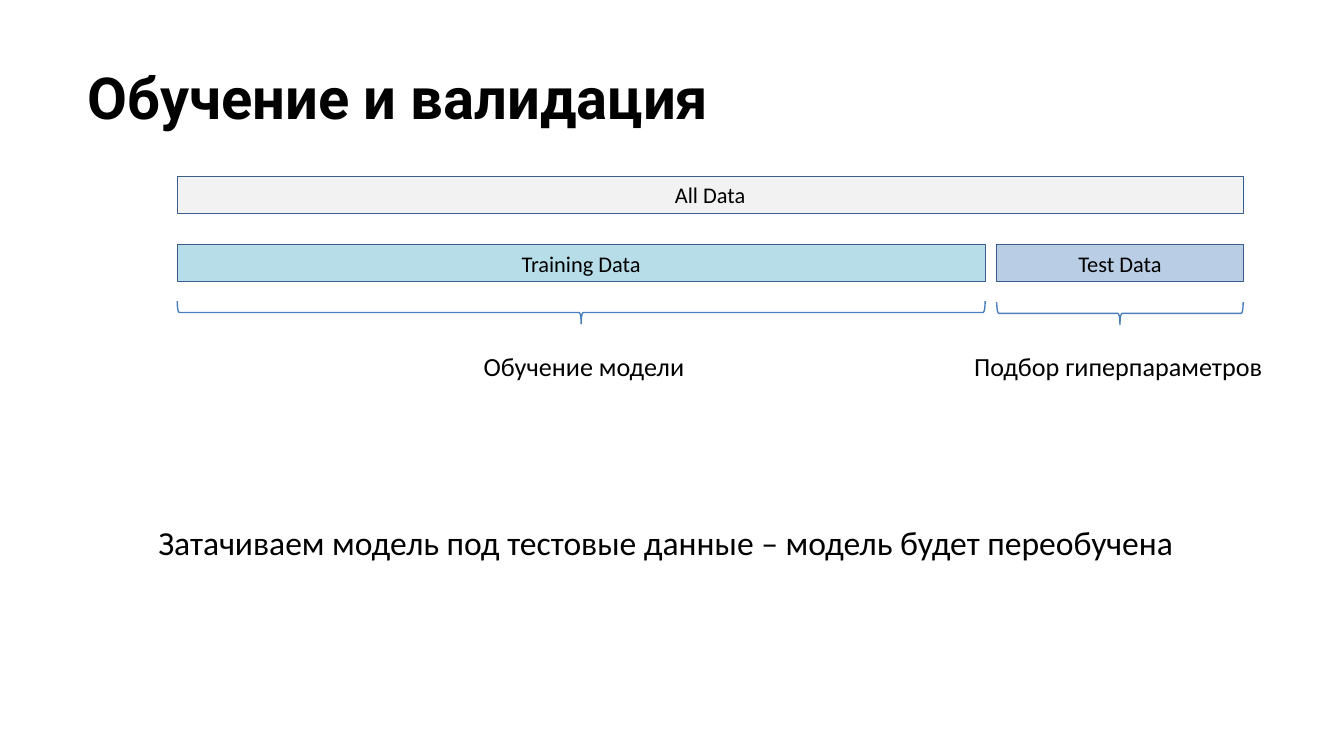
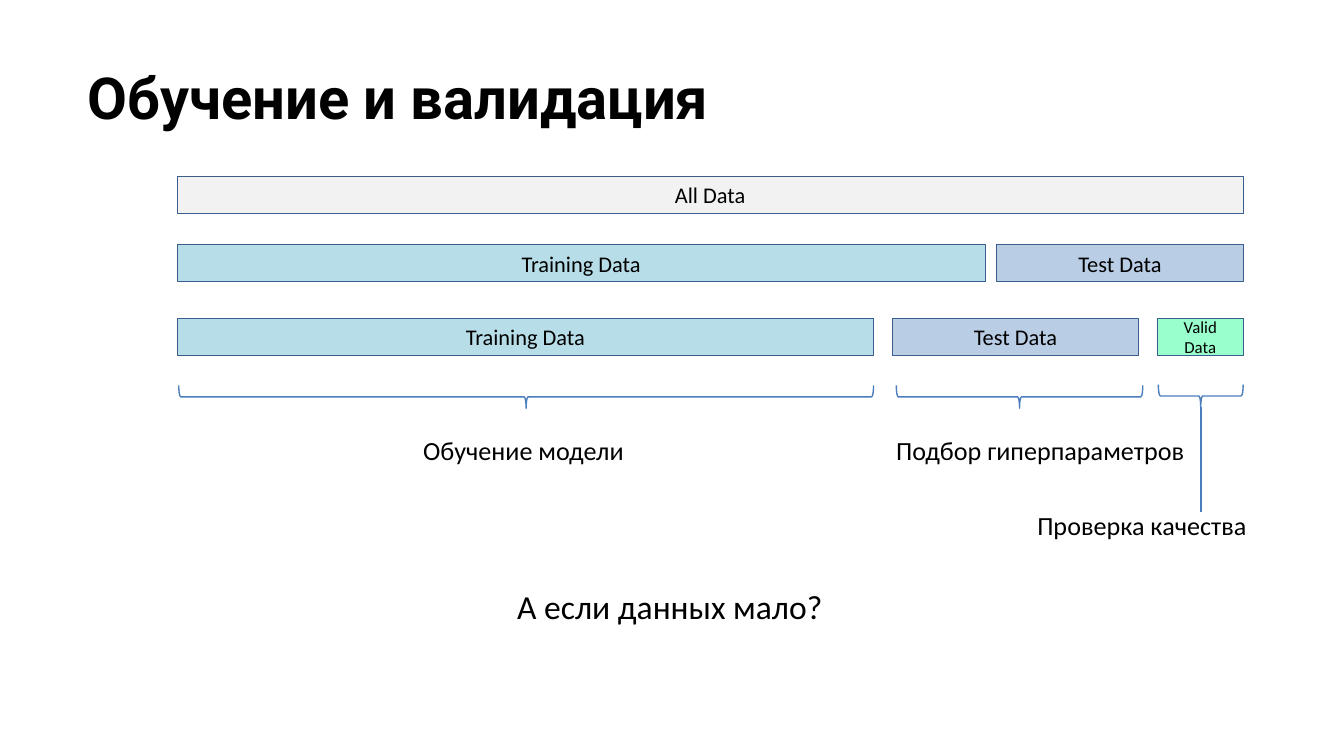
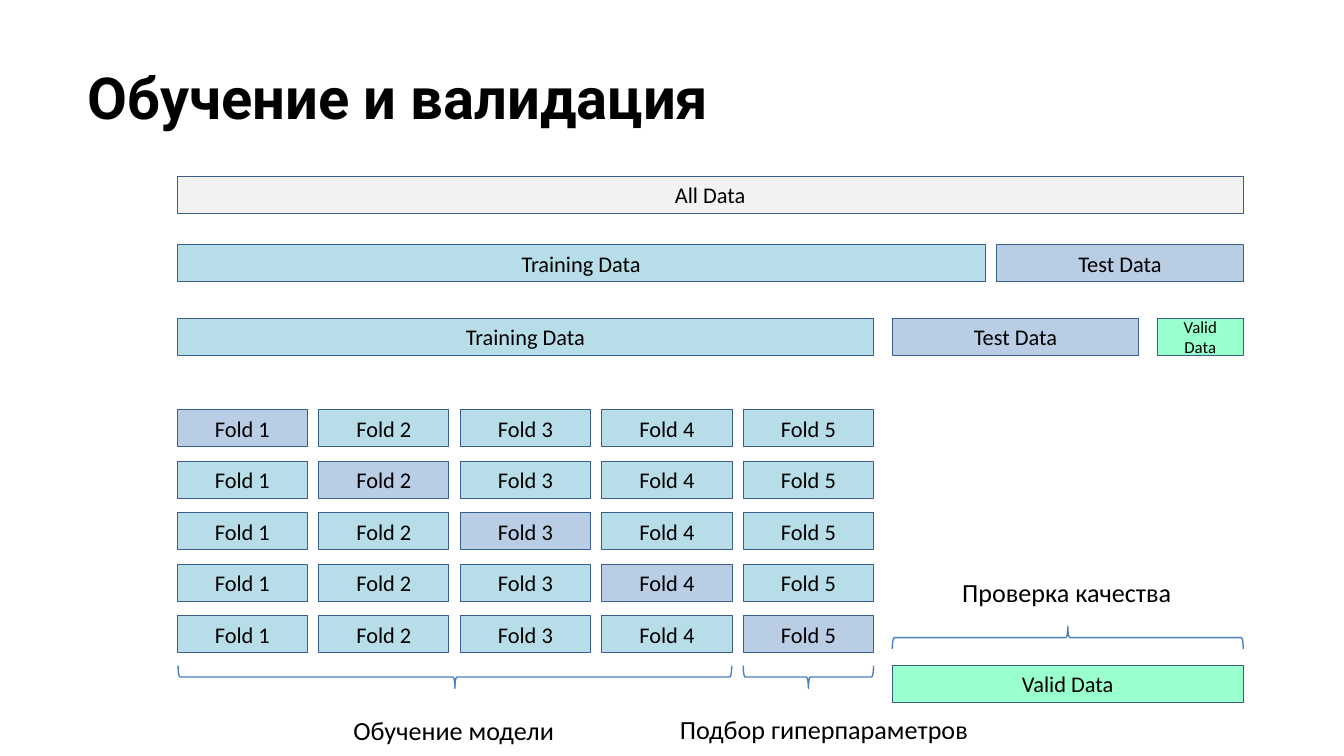
from pptx import Presentation
from pptx.dml.color import RGBColor
from pptx.enum.shapes import MSO_CONNECTOR, MSO_SHAPE
from pptx.enum.text import MSO_ANCHOR, MSO_AUTO_SIZE, PP_ALIGN
from pptx.oxml.ns import qn
from pptx.util import Pt
from lxml import etree

RECTANGLE, BRACE = MSO_SHAPE.RECTANGLE, MSO_SHAPE.LEFT_BRACE
STRAIGHT = MSO_CONNECTOR.STRAIGHT
LEFT_ALIGN, CENTER = PP_ALIGN.LEFT, PP_ALIGN.CENTER
TOP, MIDDLE = MSO_ANCHOR.TOP, MSO_ANCHOR.MIDDLE
NO_FIT, GROW = MSO_AUTO_SIZE.NONE, MSO_AUTO_SIZE.SHAPE_TO_FIT_TEXT

COLORS = {
    "text": "000000", "outline": "3A5F8C", "brace": "4B7EBC",
    "all": "F2F2F2", "train": "B7DEE8", "test": "B9CDE5", "valid": "99FFCC",
}

# Shared layout
SLIDE_W, SLIDE_H = 720, 405
DATA_LEFT, BAR_H, BRACE_H = 95, 20, 12.2
TITLE = "Обучение и валидация"
TITLE_BOX = (39.6, 25.9, 671, 86.4)

# Data rows: top, gap, bars of (label, kind, width, font size)
ALL_ROW = (94.4, 0, [("All Data", "all", 571, 12)])
SPLIT_ROW = (131, 6.2, [("Training Data", "train", 432.8, 12),
                        ("Test Data", "test", 132, 12)])
VALID_ROW = (170.6, 10, [("Training Data", "train", 373, 12),
                         ("Test Data", "test", 132, 12),
                         ("Valid Data", "valid", 46, 9)])

# Cross-validation: in each row one fold serves as the test fold
FOLDS, FOLD_W, FOLD_GAP = 5, 69.8, 6
FOLD_TOP, FOLD_PITCH = 219.4, 27.6
FOLD_ROWS = [
    (FOLD_TOP + row * FOLD_PITCH, FOLD_GAP,
     [(f"Fold {fold + 1}", "test" if fold == row else "train", FOLD_W, 12)
      for fold in range(FOLDS)])
    for row in range(FOLDS)
]
HOLDOUT_LEFT, HOLDOUT_TOP, HOLDOUT_W = 478, 356.4, 188

# Captions and their box widths
TRAINING, TUNING, CHECKING = (
    ("Обучение модели", 123), ("Подбор гиперпараметров", 170.6),
    ("Проверка качества", 128.2))

# Braces: left, top, width, rotation; captions: (text, width), left, top
SLIDES = [
    {
        "rows": [ALL_ROW, SPLIT_ROW],
        "braces": [(95, 161.3, 432.8, 270), (534, 161.8, 132, 270)],
        "captions": [(TRAINING, 252, 184.3), (TUNING, 514.8, 184.3)],
        "conclusion": ("Затачиваем модель под тестовые данные – "
                       "модель будет переобучена", 564.5, 275.8),
    },
    {
        "rows": [ALL_ROW, SPLIT_ROW, VALID_ROW],
        "braces": [(95.8, 206.5, 372.2, 270), (480.2, 206.5, 132, 270),
                   (620.6, 206, 45.4, 270)],
        "captions": [(TRAINING, 219.6, 229), (TUNING, 473, 229),
                     (CHECKING, 548.6, 269.3)],
        "leader": (643.3, 218.2, 274.3),
        "conclusion": ("А если данных мало?", 180, 310.3),
    },
    {
        "rows": [ALL_ROW, SPLIT_ROW, VALID_ROW] + FOLD_ROWS,
        "holdout": ("Valid Data", "valid", HOLDOUT_W, 12),
        "braces": [(95.4, 356.6, 296.6, 270), (398.2, 356.6, FOLD_W, 270),
                   (HOLDOUT_LEFT, 335.5, HOLDOUT_W, 90)],
        "captions": [(TRAINING, 182.2, 379.4), (TUNING, 357.1, 378.7),
                     (CHECKING, 508.3, 305.3)],
    },
]


def rgb(name):
    return RGBColor.from_string(COLORS[name])


def write(frame, text, size, align=LEFT_ALIGN, font="Calibri", bold=False):
    frame.text = text
    paragraph = frame.paragraphs[0]
    paragraph.alignment = align
    paragraph.font.name = font
    paragraph.font.size = Pt(size)
    paragraph.font.bold = bold
    paragraph.font.color.rgb = rgb("text")


def set_line(outlined, color, width):
    outlined.line.color.rgb = rgb(color)
    outlined.line.width = Pt(width)


def add_title(slide):
    title = slide.shapes.title
    title.left, title.top, title.width, title.height = map(Pt, TITLE_BOX)
    frame = title.text_frame
    frame.auto_size = NO_FIT
    frame.vertical_anchor = TOP
    frame.margin_left = frame.margin_right = Pt(7.2)
    frame.margin_top = frame.margin_bottom = Pt(7.2)
    write(frame, TITLE, 31, font="Roboto", bold=True)


def add_bar(slide, left, top, label, kind, width, size):
    bar = slide.shapes.add_shape(RECTANGLE, Pt(left), Pt(top), Pt(width), Pt(BAR_H))
    bar.shadow.inherit = False
    bar.fill.solid()
    bar.fill.fore_color.rgb = rgb(kind)
    set_line(bar, "outline", 0.5)
    bar.text_frame.word_wrap = True
    bar.text_frame.vertical_anchor = MIDDLE
    write(bar.text_frame, label, size, CENTER)


def add_row(slide, top, gap, bars):
    left = DATA_LEFT
    for label, kind, width, size in bars:
        add_bar(slide, left, top, label, kind, width, size)
        left += width + gap


def add_brace(slide, left, top, width, rotation):
    # A rotated brace keeps its centre while its sides swap
    shift = (width - BRACE_H) / 2
    brace = slide.shapes.add_shape(BRACE, Pt(left + shift), Pt(top - shift),
                                   Pt(BRACE_H), Pt(width))
    brace.rotation = rotation
    brace.shadow.inherit = False
    brace.fill.background()
    set_line(brace, "brace", 0.75)


def add_caption(slide, text, left, top, width, height, size):
    caption = slide.shapes.add_textbox(Pt(left), Pt(top), Pt(width), Pt(height))
    caption.text_frame.word_wrap = False
    caption.text_frame.auto_size = GROW
    write(caption.text_frame, text, size)


def add_leader(slide, x, top, bottom):
    leader = slide.shapes.add_connector(STRAIGHT, Pt(x), Pt(top), Pt(x), Pt(bottom))
    set_line(leader, "brace", 0.75)
    etree.SubElement(leader.element.spPr, qn("a:effectLst"))


def main():
    deck = Presentation()
    deck.slide_width, deck.slide_height = Pt(SLIDE_W), Pt(SLIDE_H)
    title_only = deck.slide_layouts[5]
    for content in SLIDES:
        slide = deck.slides.add_slide(title_only)
        add_title(slide)
        for row in content["rows"]:
            add_row(slide, *row)
        if "holdout" in content:
            add_bar(slide, HOLDOUT_LEFT, HOLDOUT_TOP, *content["holdout"])
        for brace in content["braces"]:
            add_brace(slide, *brace)
        for (text, width), left, top in content["captions"]:
            add_caption(slide, text, left, top, width, 24.2, 14)
        if "leader" in content:
            add_leader(slide, *content["leader"])
        if "conclusion" in content:
            text, width, top = content["conclusion"]
            add_caption(slide, text, (SLIDE_W - width) / 2, top, width, 29, 18)
    deck.save("out.pptx")


if __name__ == "__main__":
    main()
